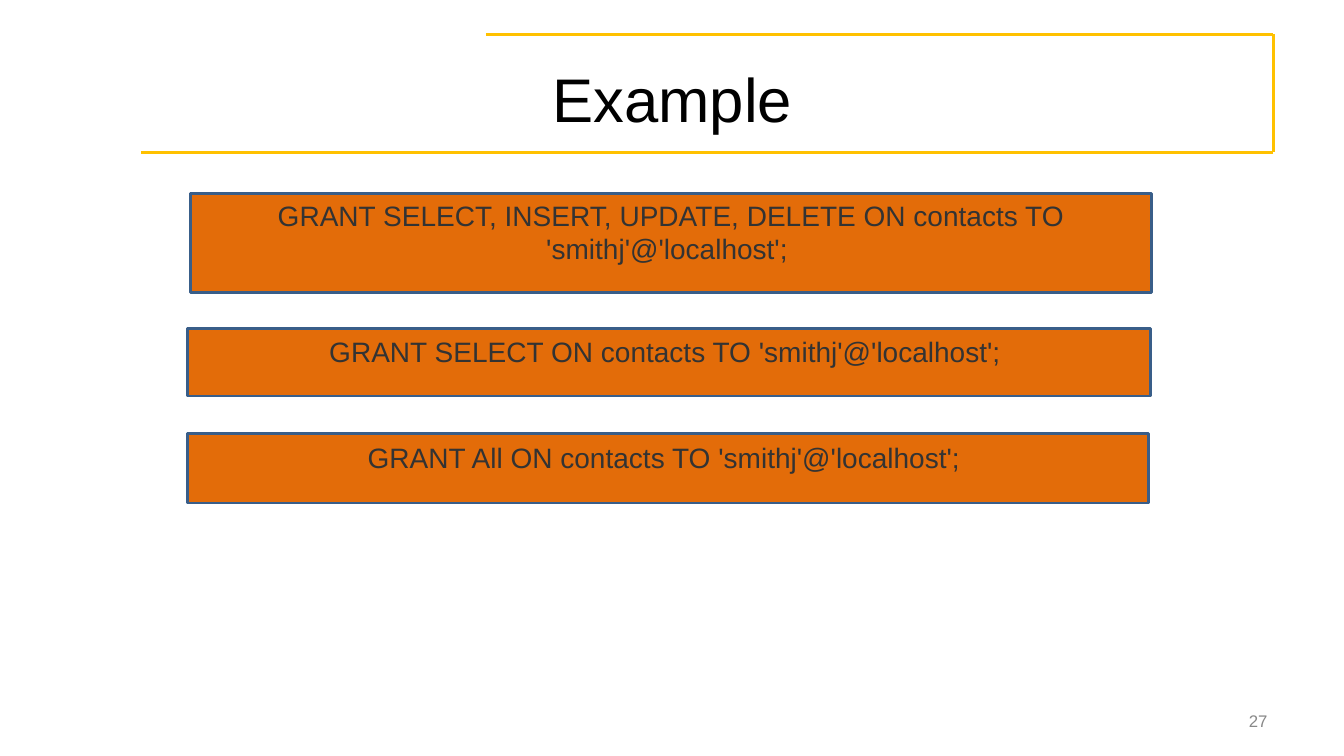
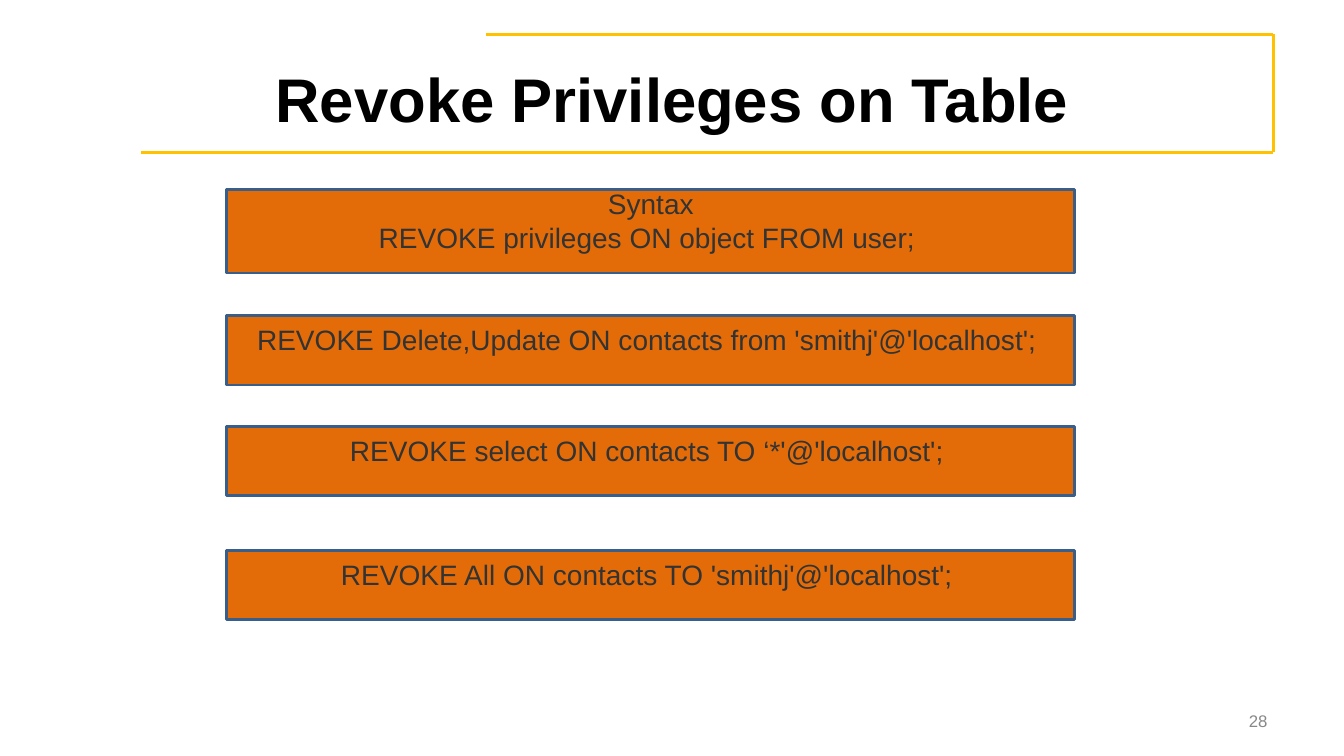
"""Build two slides showing SQL GRANT and REVOKE statements in orange boxes."""
from dataclasses import dataclass
from typing import Any

from lxml import etree
from pptx import Presentation
from pptx.dml.color import RGBColor
from pptx.enum.shapes import MSO_CONNECTOR, MSO_SHAPE
from pptx.enum.text import MSO_ANCHOR, PP_ALIGN
from pptx.oxml.ns import qn
from pptx.util import Inches, Pt

RECTANGLE = MSO_SHAPE.RECTANGLE
STRAIGHT = MSO_CONNECTOR.STRAIGHT
MIDDLE = MSO_ANCHOR.MIDDLE
CENTER, RIGHT = PP_ALIGN.CENTER, PP_ALIGN.RIGHT

FONT = "Arial"
GOLD, ORANGE, BLUE = "FFC100", "E36C09", "395E89"
BLACK, CHARCOAL, GREY = "000000", "333333", "888888"
LINE_WIDTH = Pt(2)

FRAME_POINTS = [(4.82, 0.34), (12.63, 0.34), (12.63, 1.51), (1.4, 1.51)]
TEXT_INSETS = {"margin_left": 0.1, "margin_right": 0.1,
               "margin_top": 0.05, "margin_bottom": 0.05}
STATEMENT_INSETS = TEXT_INSETS | {"margin_top": 0, "margin_bottom": 0.22}


@dataclass(frozen=True)
class Statement:
    left: float
    top: float
    width: float
    height: float
    lines: tuple[str, ...]


@dataclass(frozen=True)
class Page:
    number: int
    title: str
    title_bold: bool
    statements: tuple[Statement, ...]


PAGES = (
    Page(27, "Example", False, (
        Statement(1.89, 1.92, 9.53, 0.98, (
            "GRANT SELECT, INSERT, UPDATE, DELETE ON contacts TO 'smithj'@'localhost'; ",)),
        Statement(1.86, 3.26, 9.55, 0.67, (
            "GRANT SELECT ON contacts TO 'smithj'@'localhost'; ",)),
        Statement(1.86, 4.3, 9.53, 0.69, (
            "GRANT All ON contacts TO 'smithj'@'localhost'; ",)),
    )),
    Page(28, "Revoke Privileges on Table", True, (
        Statement(2.25, 1.88, 8.41, 0.83, (
            "Syntax", "REVOKE privileges ON object FROM user; ")),
        *(Statement(2.25, top, 8.41, 0.69, (line,)) for top, line in (
            (3.13, "REVOKE Delete,Update ON contacts from 'smithj'@'localhost'; "),
            (4.23, "REVOKE select ON contacts TO ‘*'@'localhost'; "),
            (5.46, "REVOKE All ON contacts TO 'smithj'@'localhost'; "),
        )),
    )),
)


def rgb(color: str) -> RGBColor:
    return RGBColor.from_string(color)


def apply(target: Any, values: dict[str, Any]) -> None:
    for name, value in values.items():
        setattr(target, name, value)


def write(shape: Any, lines: tuple[str, ...], size: int, color: str,
          align: Any = CENTER, bold: bool = False,
          insets: dict[str, float] = TEXT_INSETS) -> None:
    frame = shape.text_frame
    apply(frame, {"word_wrap": True, "vertical_anchor": MIDDLE})
    apply(frame, {side: Inches(inset) for side, inset in insets.items()})
    frame.text = "\n".join(lines)
    for paragraph in frame.paragraphs:
        paragraph.alignment = align
        apply(paragraph.font, {"name": FONT, "size": Pt(size), "bold": bold})
        paragraph.font.color.rgb = rgb(color)


def add_text(slide: Any, box: tuple[float, ...], text: str, size: int,
             color: str, align: Any = CENTER, bold: bool = False) -> None:
    textbox = slide.shapes.add_textbox(*map(Inches, box))
    write(textbox, (text,), size, color, align, bold)


def add_title_frame(slide: Any) -> None:
    for start, end in zip(FRAME_POINTS, FRAME_POINTS[1:]):
        edge = slide.shapes.add_connector(STRAIGHT, *map(Inches, start + end))
        edge.line.color.rgb = rgb(GOLD)
        edge.line.width = LINE_WIDTH
        etree.SubElement(edge.element.spPr, qn("a:effectLst"))


def add_statement(slide: Any, statement: Statement) -> None:
    box = (statement.left, statement.top, statement.width, statement.height)
    panel = slide.shapes.add_shape(RECTANGLE, *map(Inches, box))
    panel.shadow.inherit = False
    panel.fill.solid()
    panel.fill.fore_color.rgb = rgb(ORANGE)
    panel.line.color.rgb = rgb(BLUE)
    panel.line.width = LINE_WIDTH
    write(panel, statement.lines, 20, CHARCOAL, insets=STATEMENT_INSETS)


def add_page(prs: Any, page: Page) -> None:
    slide = prs.slides.add_slide(prs.slide_layouts[6])
    add_title_frame(slide)
    add_text(slide, (0.67, 0.35, 12, 1.25), page.title, 44, BLACK, bold=page.title_bold)
    add_text(slide, (9.56, 6.95, 3.11, 0.4), str(page.number), 12, GREY, RIGHT)
    for statement in page.statements:
        add_statement(slide, statement)


def main() -> None:
    prs = Presentation()
    apply(prs, {"slide_width": Inches(13.33), "slide_height": Inches(7.5)})
    for page in PAGES:
        add_page(prs, page)
    prs.save("out.pptx")


if __name__ == "__main__":
    main()
